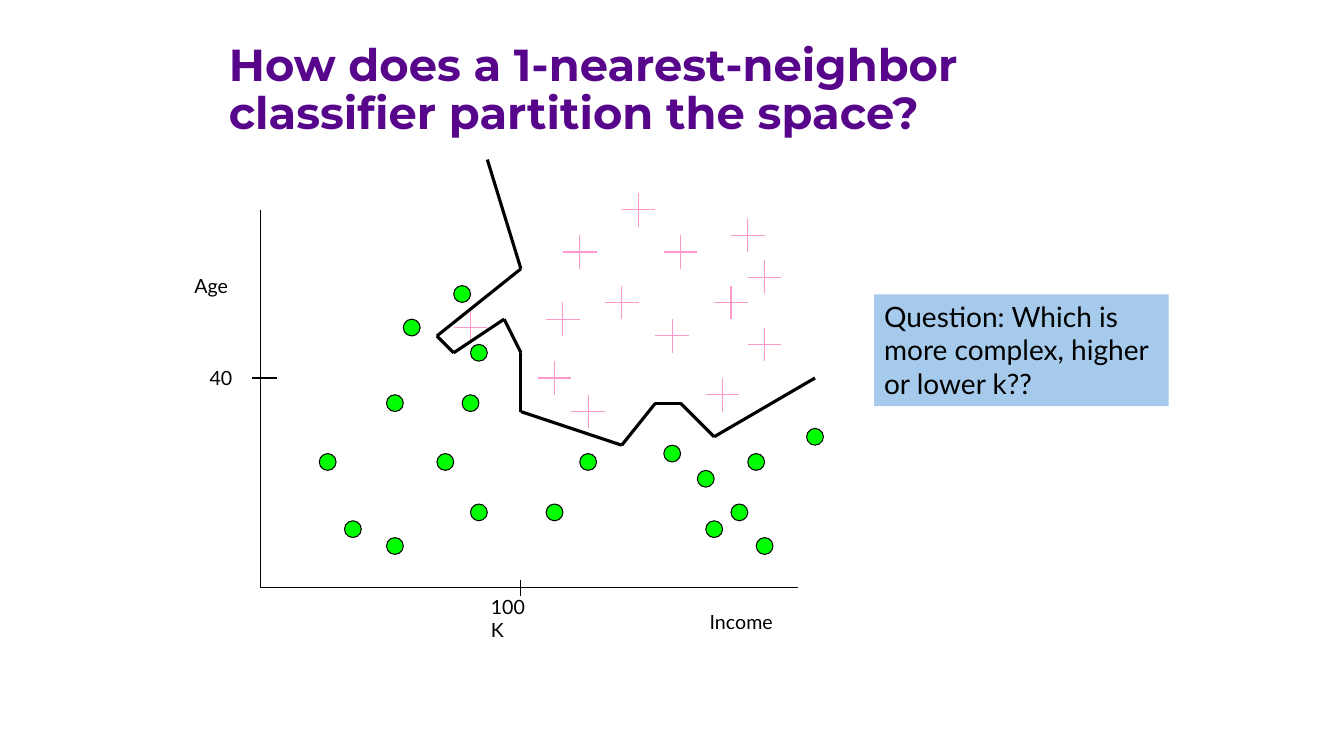
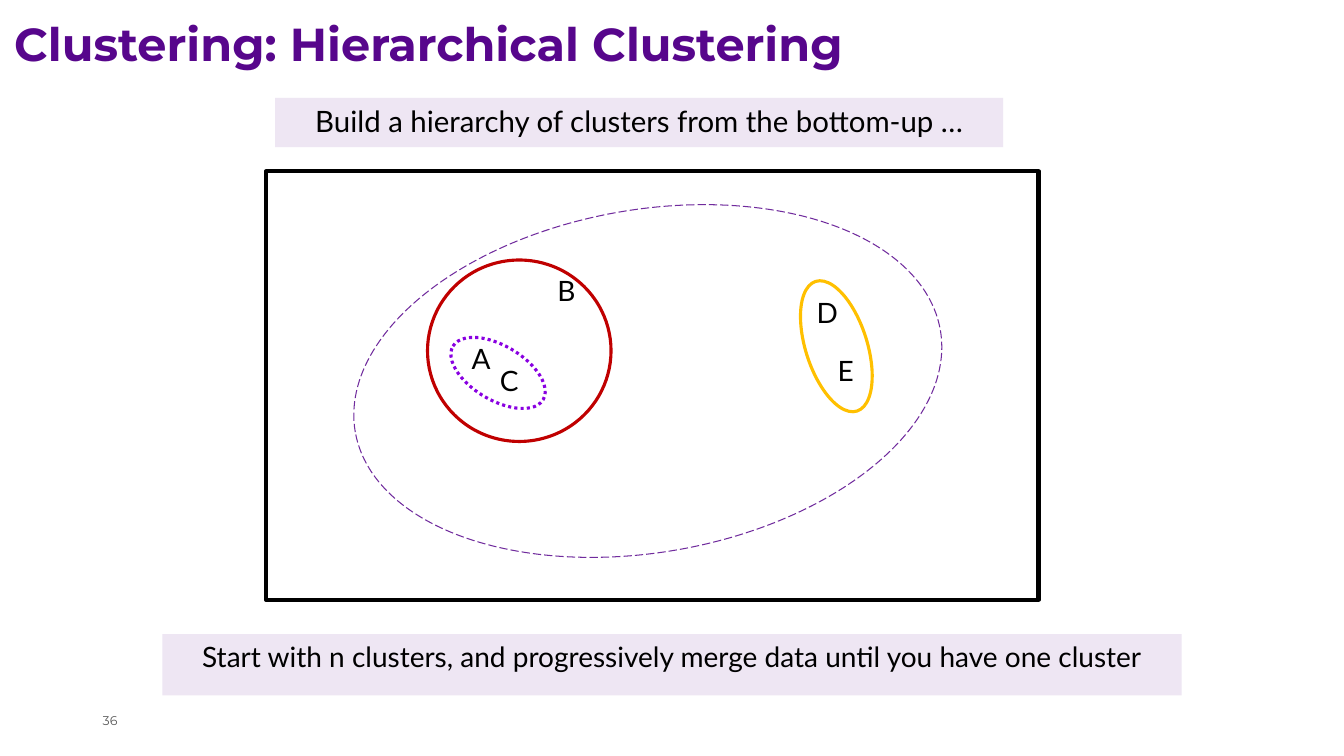
from dataclasses import dataclass

from lxml import etree
from pptx import Presentation
from pptx.dml import color as dml
from pptx.enum import dml as dashes, shapes, text
from pptx.oxml import ns
from pptx.util import Inches, Pt

BLACK = "000000"
PURPLE = "57068C"
LILAC = "EEE6F3"
SKY = "A6CAEC"
PINK = "FF99CC"
GREEN = "00FF00"
GRAY = "595959"
BODY_FONT = "Lato"
HEAD_FONT = "Montserrat"
GRID = 12

Box = tuple[float, float, float, float]
Point = tuple[float, float]


@dataclass(frozen=True)
class Label:
    words: str
    box: Box
    wrap: bool = False


@dataclass(frozen=True)
class Cluster:
    box: Box
    color: str
    weight: float
    rotation: float = 0
    dash: dashes.MSO_LINE | None = None


AXES = [((31, 25), (31, 70)), ((31, 70), (95, 70)),
        ((62, 69), (62, 71)), ((30, 45), (33, 45))]
AXIS_LABELS = [
    Label("Income", (6.94, 6, 0.85, 0.34)),
    Label("Age", (1.83, 2.67, 0.53, 0.34)),
    Label("100K", (4.77, 5.85, 0.64, 0.34), wrap=True),
    Label("40", (1.98, 3.58, 0.42, 0.34)),
]
PLUSES = [(89, 28), (87, 36), (74, 36), (81, 30), (91, 33), (91, 41), (69, 30),
          (80, 40), (76, 25), (56, 39), (70, 49), (67, 38), (66, 45), (86, 47)]
DOTS = [(53, 55), (57, 42), (57, 61), (56, 48), (49, 39), (90, 55), (47, 65),
        (42, 63), (47, 48), (39, 55), (70, 55), (80, 54), (91, 65), (55, 35),
        (84, 57), (66, 61), (97, 52), (88, 61), (85, 63)]
BOUNDARY = [(58, 19), (62, 32), (52, 40), (54, 42), (60, 38), (62, 42),
            (62, 49), (74, 53), (78, 48), (81, 48), (85, 52), (97, 45)]

ITEMS = [
    Label("A", (4.58, 3.34, 0.37, 0.44)),
    Label("E", (8.21, 3.46, 0.36, 0.44)),
    Label("D", (8, 2.88, 0.39, 0.44)),
    Label("C", (4.86, 3.56, 0.37, 0.44)),
    Label("B", (5.43, 2.66, 0.37, 0.44)),
]
CLUSTERS = [
    Cluster((4.42, 3.43, 1.04, 0.54), "8900E1", 2.25, 30.7, dashes.MSO_LINE.ROUND_DOT),
    Cluster((7.62, 3.13, 1.35, 0.61), "FFC000", 2.25, 72.3),
    Cluster((4.24, 2.58, 1.82, 1.8), "C00000", 2.25),
    Cluster((3.48, 2.08, 5.89, 3.4), "702B9D", 0.75, 350.1, dashes.MSO_LINE.LONG_DASH),
]


def rgb(value: str) -> dml.RGBColor:
    return dml.RGBColor.from_string(value)


def place(shape, box: Box) -> None:
    shape.left, shape.top, shape.width, shape.height = map(Inches, box)


def write(shape, words: str, size: float, color: str = BLACK, font: str = BODY_FONT,
          align=text.PP_ALIGN.LEFT, anchor=text.MSO_ANCHOR.TOP, wrap: bool = True):
    frame = shape.text_frame
    frame.text = words
    frame.word_wrap = wrap
    frame.auto_size = text.MSO_AUTO_SIZE.NONE
    frame.vertical_anchor = anchor
    line = frame.paragraphs[0]
    line.alignment = align
    line.space_before = Pt(0)
    line.font.size = Pt(size)
    line.font.name = font
    line.font.color.rgb = rgb(color)
    return line


def add_title(slide, words: str, box: Box, size: float) -> None:
    title = slide.shapes.title
    place(title, box)
    heading = write(title, words, size, PURPLE, HEAD_FONT, anchor=text.MSO_ANCHOR.MIDDLE)
    heading.font.bold = True
    heading.line_spacing = 0.9


def add_label(slide, label: Label, size: float, **style) -> None:
    box = slide.shapes.add_textbox(*map(Inches, label.box))
    write(box, label.words, size, wrap=label.wrap, **style)


def add_figure(slide, kind: shapes.MSO_SHAPE, box: Box, fill: str | None = None,
               color: str | None = None, weight: float = 0.75):
    figure = slide.shapes.add_shape(kind, *map(Inches, box))
    figure.shadow.inherit = False
    if fill:
        figure.fill.solid()
        figure.fill.fore_color.rgb = rgb(fill)
    else:
        figure.fill.background()
    if color:
        figure.line.color.rgb = rgb(color)
        figure.line.width = Pt(weight)
    else:
        figure.line.fill.background()
    return figure


def add_grid_line(slide, start: Point, end: Point, color: str = BLACK,
                  weight: float = 0.75) -> None:
    ends = [Inches(value / GRID) for value in (*start, *end)]
    line = slide.shapes.add_connector(shapes.MSO_CONNECTOR.STRAIGHT, *ends)
    line.line.color.rgb = rgb(color)
    line.line.width = Pt(weight)
    etree.SubElement(line._element.spPr, ns.qn("a:effectLst"))


def add_plus(slide, x: float, y: float) -> None:
    add_grid_line(slide, (x - 2, y), (x + 2, y), PINK)
    add_grid_line(slide, (x, y - 2), (x, y + 2), PINK)


def add_dot(slide, x: float, y: float) -> None:
    box = ((x - 1) / GRID, (y - 1) / GRID, 2 / GRID, 2 / GRID)
    add_figure(slide, shapes.MSO_SHAPE.OVAL, box, GREEN, BLACK)


def add_cluster(slide, cluster: Cluster) -> None:
    outline = add_figure(slide, shapes.MSO_SHAPE.OVAL, cluster.box,
                         color=cluster.color, weight=cluster.weight)
    outline.rotation = cluster.rotation
    if cluster.dash:
        outline.line.dash_style = cluster.dash


def build_neighbor_slide(deck) -> None:
    slide = deck.slides.add_slide(deck.slide_layouts[5])
    add_title(slide, "How does a 1-nearest-neighbor classifier partition the space?",
              (2.17, 0.56, 9, 0.69), 32)
    for start, end in AXES:
        add_grid_line(slide, start, end)
    for label in AXIS_LABELS:
        add_label(slide, label, 14)
    for x, y in PLUSES:
        add_plus(slide, x, y)
    for x, y in DOTS:
        add_dot(slide, x, y)
    for start, end in zip(BOUNDARY, BOUNDARY[1:]):
        add_grid_line(slide, start, end, weight=2.25)
    question = add_figure(slide, shapes.MSO_SHAPE.RECTANGLE, (8.67, 2.92, 2.92, 1.11), SKY)
    write(question, "Question: Which is more complex, higher or lower k??", 20)


def build_clustering_slide(deck) -> None:
    slide = deck.slides.add_slide(deck.slide_layouts[1])
    add_title(slide, "Clustering: Hierarchical Clustering", (0.04, 0.07, 11.5, 0.79), 33)
    add_label(slide, Label("36", (0.92, 6.95, 1.48, 0.4), wrap=True), 9, color=GRAY,
              font=HEAD_FONT, anchor=text.MSO_ANCHOR.MIDDLE)

    summary = slide.placeholders[1]
    place(summary, (2.73, 0.97, 7.22, 0.49))
    summary.fill.solid()
    summary.fill.fore_color.rgb = rgb(LILAC)
    line = write(summary, "Build a hierarchy of clusters from the bottom-up …", 21,
                 align=text.PP_ALIGN.CENTER)
    properties = line._p.get_or_add_pPr()
    properties.set("marL", "0")
    properties.set("indent", "0")
    bullet = etree.Element(ns.qn("a:buNone"))
    properties.find(ns.qn("a:defRPr")).addprevious(bullet)

    add_figure(slide, shapes.MSO_SHAPE.RECTANGLE, (2.64, 1.7, 7.66, 4.25),
               color=BLACK, weight=3)
    for item in ITEMS:
        add_label(slide, item, 20)
    for cluster in CLUSTERS:
        add_cluster(slide, cluster)
    method = add_figure(slide, shapes.MSO_SHAPE.RECTANGLE, (1.61, 6.29, 10.11, 0.61), LILAC)
    write(method, "Start with n clusters, and progressively merge data until you have one cluster",
          20, align=text.PP_ALIGN.CENTER)


def main() -> None:
    deck = Presentation()
    deck.slide_width = Inches(13.33)
    deck.slide_height = Inches(7.5)
    build_neighbor_slide(deck)
    build_clustering_slide(deck)
    deck.save("out.pptx")


if __name__ == "__main__":
    main()
